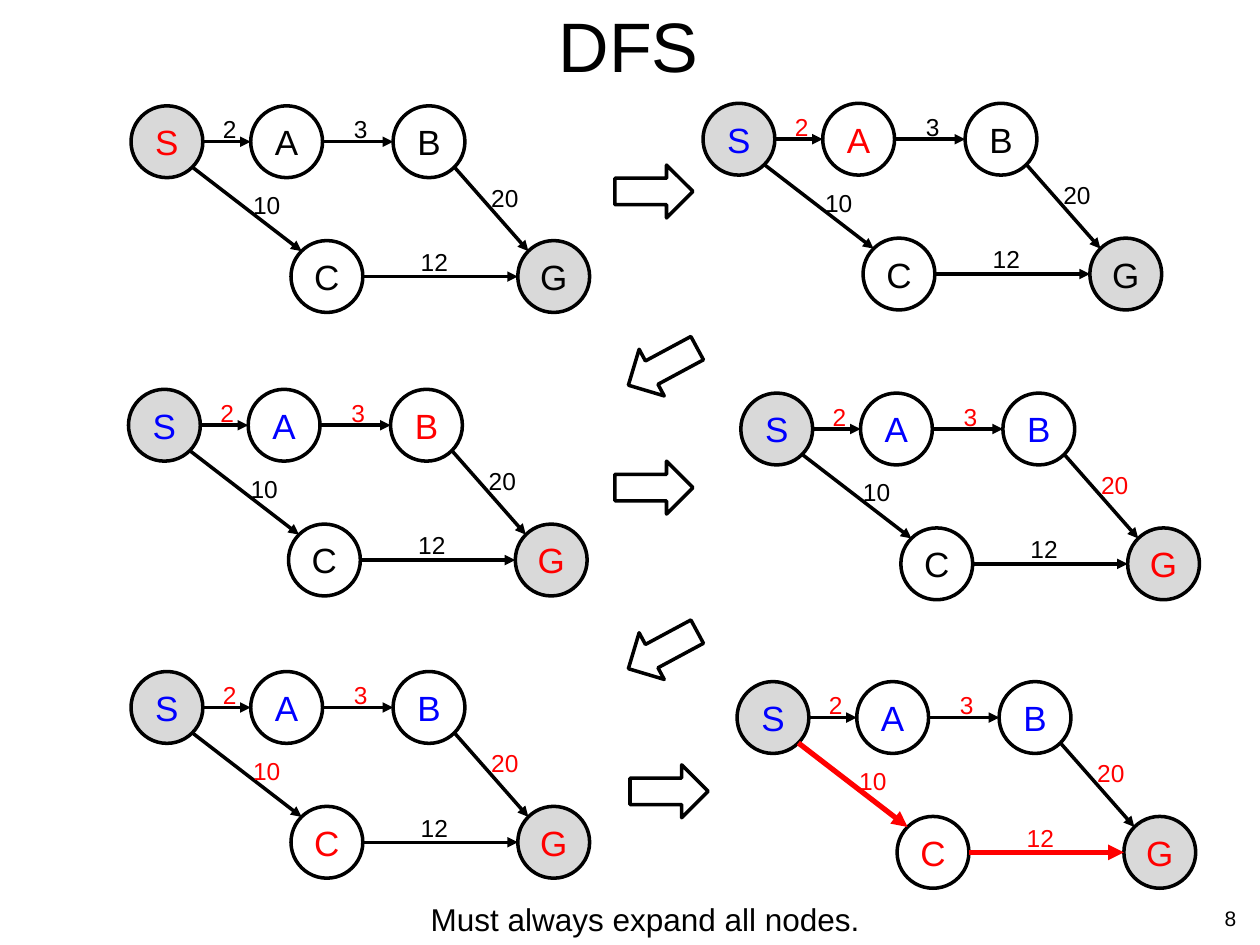
from dataclasses import dataclass
from math import sqrt

from lxml import etree
from pptx import Presentation
from pptx.dml.color import RGBColor
from pptx.enum import shapes, text
from pptx.oxml import ns
from pptx.util import Inches, Pt


@dataclass(frozen=True)
class Theme:
    font: str = "Arial"
    black: RGBColor = RGBColor(0, 0, 0)
    red: RGBColor = RGBColor(255, 0, 0)
    blue: RGBColor = RGBColor(0, 0, 255)
    gray: RGBColor = RGBColor(217, 217, 217)
    title: int = 40
    node: int = 20
    caption: int = 18
    weight: int = 14
    number: int = 12
    line: int = 2
    path_line: int = 3


theme = Theme()
colors = {"k": theme.black, "r": theme.red, "b": theme.blue}


def write(shape, words, size, color, align=text.PP_ALIGN.LEFT, wrap=False):
    frame = shape.text_frame
    frame.word_wrap = wrap
    frame.text = words
    para = frame.paragraphs[0]
    para.alignment = align
    para.font.name = theme.font
    para.font.size = Pt(size)
    para.font.color.rgb = color


def outline(shape, fill=None):
    shape.shadow.inherit = False
    shape.line.color.rgb = theme.black
    shape.line.width = Pt(theme.line)
    if fill is None:
        shape.fill.background()
    else:
        shape.fill.solid()
        shape.fill.fore_color.rgb = fill


deck = Presentation()
deck.slide_width, deck.slide_height = Inches(10), Inches(7.5)
page = deck.slides.add_slide(deck.slide_layouts[5])

title = page.shapes.title
title.left, title.top = Inches(0.49), Inches(-0.12)
title.width, title.height = Inches(9), Inches(0.95)
title.text_frame.vertical_anchor = text.MSO_ANCHOR.MIDDLE
write(title, "DFS", theme.title, theme.black, text.PP_ALIGN.CENTER, True)

diameter = 0.57
radius = diameter / 2
diagonal = radius / sqrt(2)
nodes = {"S": (0, 0), "A": (0.95, 0), "B": (2.08, 0), "C": (1.27, 1.07), "G": (3.07, 1.07)}
edges = [
    ("S", "A", "2", 0.63, 0.02),
    ("A", "B", "3", 1.67, 0.02),
    ("S", "C", "10", 0.87, 0.62),
    ("C", "G", "12", 2.2, 1.07),
    ("B", "G", "20", 2.76, 0.56),
]
steps = [
    (1.04, 0.84, "rkkkk", "kkkkk", ""),
    (5.58, 0.82, "brkkk", "rkkkk", ""),
    (1.02, 3.09, "bbrkr", "rrkkk", ""),
    (5.88, 3.12, "bbbkr", "rrkkr", ""),
    (1.04, 5.33, "bbbrr", "rrrkr", ""),
    (5.85, 5.41, "bbbrr", "rrrrr", "SCG"),
]

for left, top, node_colors, weight_colors, route in steps:
    graph = page.shapes.add_group_shape().shapes
    for (name, (dx, dy)), key in zip(nodes.items(), node_colors):
        node = graph.add_shape(
            shapes.MSO_SHAPE.OVAL, Inches(left + dx), Inches(top + dy), Inches(diameter), Inches(diameter)
        )
        outline(node, theme.gray if name in "SG" else None)
        node.text_frame.vertical_anchor = text.MSO_ANCHOR.MIDDLE
        write(node, name, theme.node, colors[key], text.PP_ALIGN.CENTER)

    for (start, end, weight, dx, dy), key in zip(edges, weight_colors):
        (x1, y1), (x2, y2) = nodes[start], nodes[end]
        reach_x, reach_y = (radius, 0) if y1 == y2 else (diagonal, diagonal)
        edge = graph.add_connector(
            shapes.MSO_CONNECTOR.STRAIGHT,
            Inches(left + x1 + radius + reach_x),
            Inches(top + y1 + radius + reach_y),
            Inches(left + x2 + radius - reach_x),
            Inches(top + y2 + radius - reach_y),
        )
        on_route = start + end in route
        edge.line.color.rgb = theme.red if on_route else theme.black
        edge.line.width = Pt(theme.path_line if on_route else theme.line)
        etree.SubElement(edge.line._get_or_add_ln(), ns.qn("a:tailEnd"), type="triangle")
        etree.SubElement(edge._element.spPr, ns.qn("a:effectLst"))

        label = graph.add_textbox(
            Inches(left + dx), Inches(top + dy), Inches(0.2 + 0.11 * len(weight)), Inches(0.34)
        )
        write(label, weight, theme.weight, colors[key])

for left, top, rotation in [
    (4.88, 1.31, 0),
    (4.95, 2.7, 151.7),
    (4.88, 3.66, 0),
    (4.95, 4.95, 151.7),
    (5, 6.07, 0),
]:
    arrow = page.shapes.add_shape(
        shapes.MSO_SHAPE.RIGHT_ARROW, Inches(left), Inches(top), Inches(0.62), Inches(0.42)
    )
    arrow.rotation = rotation
    outline(arrow)

caption = page.shapes.add_textbox(Inches(3.32), Inches(7.09), Inches(3.98), Inches(0.4))
write(caption, "Must always expand all nodes.", theme.caption, theme.black, wrap=True)

number = page.shapes.add_textbox(Inches(7.58), Inches(7.14), Inches(2.33), Inches(0.27))
write(number, "8", theme.number, theme.black, text.PP_ALIGN.RIGHT, True)

deck.save("out.pptx")
